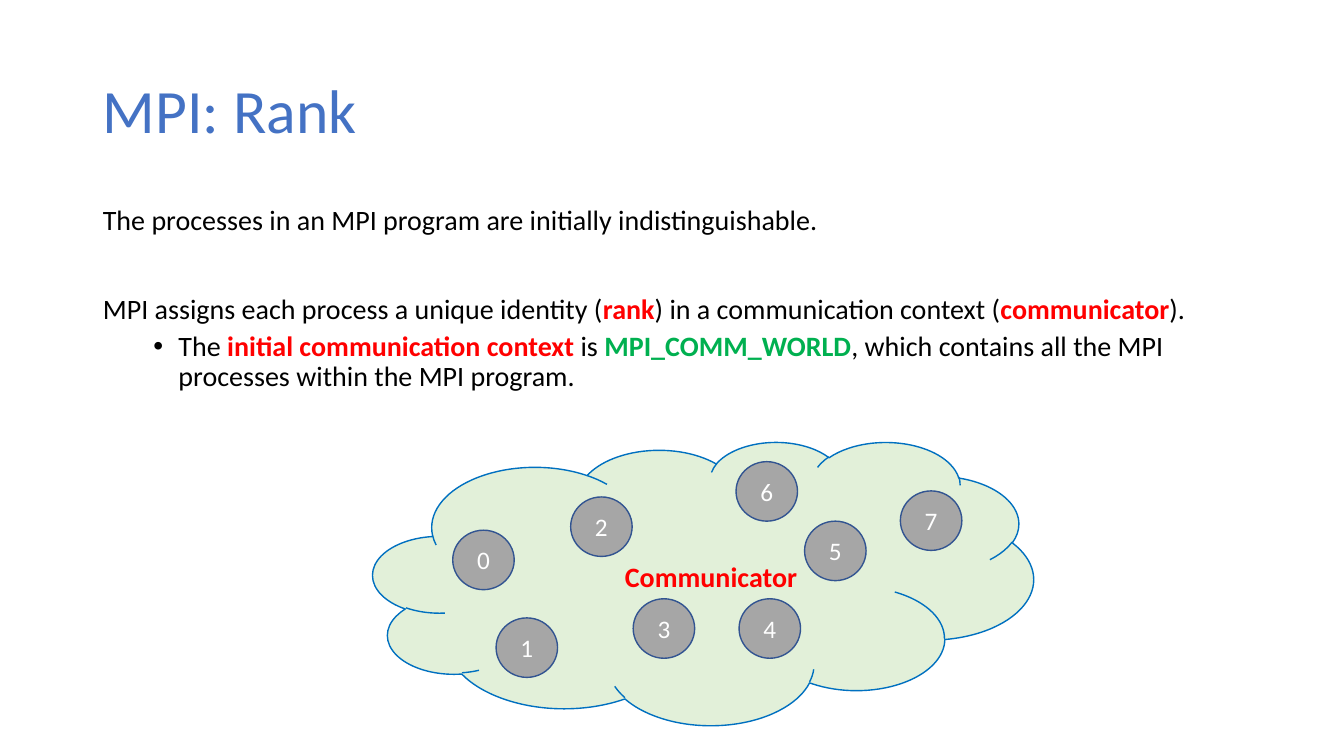
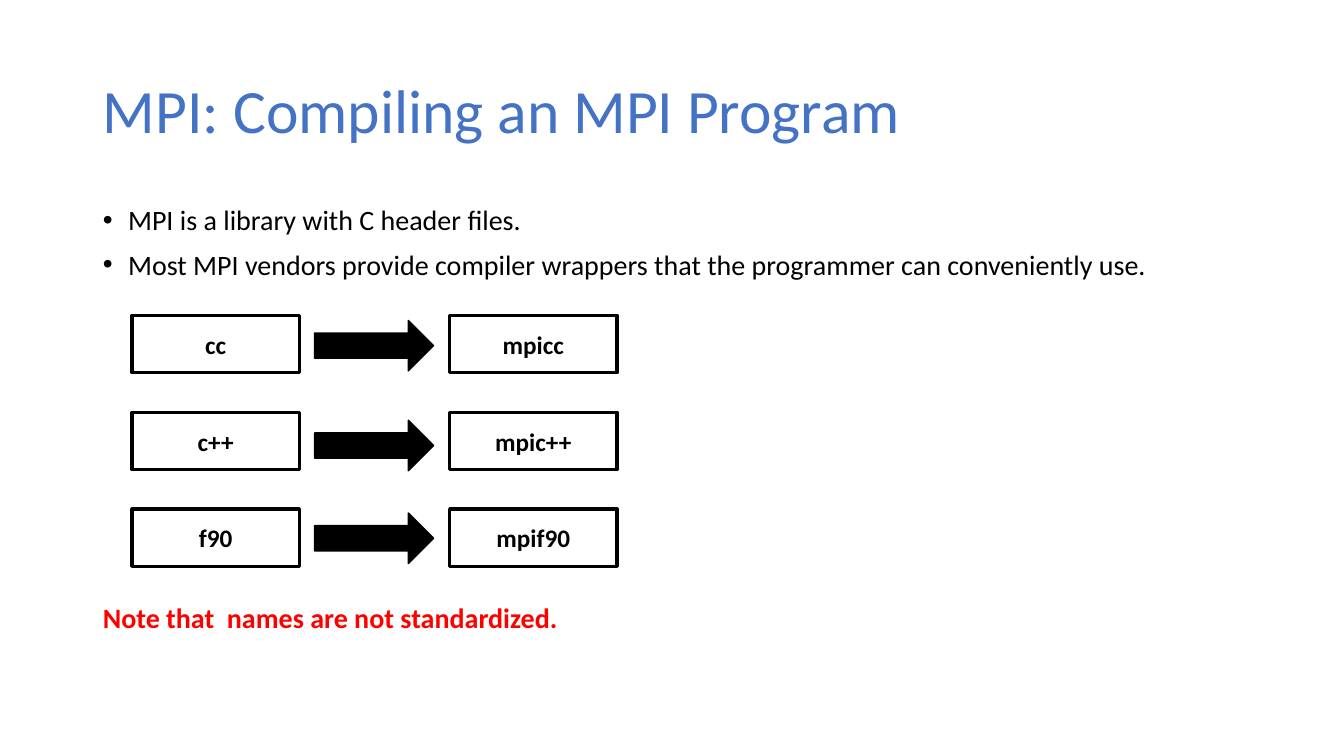
from lxml.etree import SubElement
from pptx import Presentation
from pptx.dml.color import RGBColor
from pptx.enum.shapes import MSO_SHAPE
from pptx.enum.text import MSO_ANCHOR, MSO_AUTO_SIZE, PP_ALIGN
from pptx.oxml.ns import qn
from pptx.util import Inches, Pt

TITLE_BLUE = RGBColor(0x44, 0x72, 0xC4)
BLACK = RGBColor(0, 0, 0)
WHITE = RGBColor(0xFF, 0xFF, 0xFF)
RED = RGBColor(0xFF, 0, 0)
GREEN = RGBColor(0, 0xB0, 0x50)
CLOUD_GREEN = RGBColor(0xE2, 0xF0, 0xD9)
CLOUD_LINE = RGBColor(0, 0x70, 0xC0)
RANK_GRAY = RGBColor(0xA6, 0xA6, 0xA6)
RANK_LINE = RGBColor(0x32, 0x54, 0x91)


class Deck:
    font = "Calibri"
    left, width = 0.92, 11.5

    def __init__(self):
        self.presentation = Presentation()
        self.presentation.slide_width = Inches(13.33)
        self.presentation.slide_height = Inches(7.5)
        self.slide = None

    def style(self, run, size, color, bold=False):
        run.font.name = self.font
        run.font.size = Pt(size)
        run.font.color.rgb = color
        run.font.bold = bold

    def place(self, shape, left, top, width, height):
        shape.left, shape.top = Inches(left), Inches(top)
        shape.width, shape.height = Inches(width), Inches(height)

    def add_slide(self, heading):
        layout = self.presentation.slide_layouts[1]
        self.slide = self.presentation.slides.add_slide(layout)
        title = self.slide.shapes.title
        self.place(title, self.left, 0.4, self.width, 1.45)
        title.text_frame.text = heading
        title.text_frame.vertical_anchor = MSO_ANCHOR.MIDDLE
        title.text_frame.auto_size = MSO_AUTO_SIZE.NONE
        paragraph = title.text_frame.paragraphs[0]
        paragraph.alignment = PP_ALIGN.LEFT
        paragraph.line_spacing = 0.9
        self.style(paragraph.runs[0], 44, TITLE_BLUE)

    def body(self, items):
        body = self.slide.placeholders[1]
        self.place(body, self.left, 2, self.width, 4.76)
        frame = body.text_frame
        frame.auto_size = MSO_AUTO_SIZE.NONE
        for number, item in enumerate(items):
            paragraph = frame.add_paragraph() if number else frame.paragraphs[0]
            self.paragraph(paragraph, *item)

    def paragraph(self, paragraph, segments, space_before=10, level=0, bullet=False):
        paragraph.level = level
        paragraph.line_spacing = 0.9
        paragraph.space_before = Pt(space_before)
        for words, color in segments:
            run = paragraph.add_run()
            run.text = words
            self.style(run, 20, color, bold=color != BLACK)
        properties = paragraph._p.get_or_add_pPr()
        indent = 0.25 if bullet else 0
        properties.set("marL", str(Inches(0.5 * level + indent)))
        properties.set("indent", str(-Inches(indent)))
        if bullet:
            SubElement(properties, qn("a:buFont")).set("typeface", "Arial")
            SubElement(properties, qn("a:buChar")).set("char", "•")
        else:
            SubElement(properties, qn("a:buNone"))

    def shape(self, kind, box, fill, line, line_width=1, label="",
              size=18, color=BLACK, bold=False):
        shape = self.slide.shapes.add_shape(kind, *map(Inches, box))
        shape.shadow.inherit = False
        shape.fill.solid()
        shape.fill.fore_color.rgb = fill
        shape.line.color.rgb = line
        shape.line.width = Pt(line_width)
        if label:
            shape.text_frame.text = label
            shape.text_frame.vertical_anchor = MSO_ANCHOR.MIDDLE
            paragraph = shape.text_frame.paragraphs[0]
            paragraph.alignment = PP_ALIGN.CENTER
            self.style(paragraph.runs[0], size, color, bold)
        return shape

    def rank(self, number, left, top):
        self.shape(MSO_SHAPE.OVAL, (left, top, 0.61, 0.59), RANK_GRAY,
                   RANK_LINE, label=str(number), color=WHITE)

    def compiler(self, name, left, top):
        self.shape(MSO_SHAPE.RECTANGLE, (left, top, 1.66, 0.57), WHITE,
                   BLACK, line_width=2.25, label=name, bold=True)

    def arrow(self, left, top):
        self.shape(MSO_SHAPE.RIGHT_ARROW, (left, top, 1.18, 0.5), BLACK, BLACK)


deck = Deck()

deck.add_slide("MPI: Rank")
deck.body([
    ([("The processes in an MPI program are initially indistinguishable.", BLACK)],),
    ([("MPI assigns each process a unique identity (", BLACK),
      ("rank", RED),
      (") in a communication context (", BLACK),
      ("communicator", RED),
      (").", BLACK)], 41.5),
    ([("The ", BLACK),
      ("initial communication context ", RED),
      ("is ", BLACK),
      ("MPI_COMM_WORLD", GREEN),
      (", which contains all the MPI processes within the MPI program.", BLACK)],
     5, 1, True),
])
communicator = deck.shape(MSO_SHAPE.CLOUD, (3.7, 4.38, 6.55, 2.81), CLOUD_GREEN,
                          CLOUD_LINE, label="Communicator", size=20, color=RED,
                          bold=True)
communicator.text_frame.margin_left = Inches(0.72)
rank_positions = [(4.49, 5.26), (4.92, 6.13), (5.66, 4.93), (6.28, 5.94),
                  (7.33, 5.94), (7.98, 5.17), (7.3, 4.58), (8.93, 4.87)]
for number, (left, top) in enumerate(rank_positions):
    deck.rank(number, left, top)

deck.add_slide("MPI: Compiling an MPI Program")
deck.body([
    ([("MPI is a library with C header files.", BLACK)], 10, 0, True),
    ([("Most MPI vendors provide compiler wrappers that the programmer can "
       "conveniently use.", BLACK)], 10, 0, True),
    ([("Note that  names are not standardized.", RED)], 231),
])
wrappers = [("cc", "mpicc", 3.18), ("c++", "mpic++", 4.17), ("f90", "mpif90", 5.09)]
for row, (compiler, wrapper, arrow_top) in enumerate(wrappers):
    row_top = 3.13 + 0.96 * row
    deck.compiler(compiler, 1.31, row_top)
    deck.compiler(wrapper, 4.46, row_top)
    deck.arrow(3.12, arrow_top)

deck.presentation.save("out.pptx")
